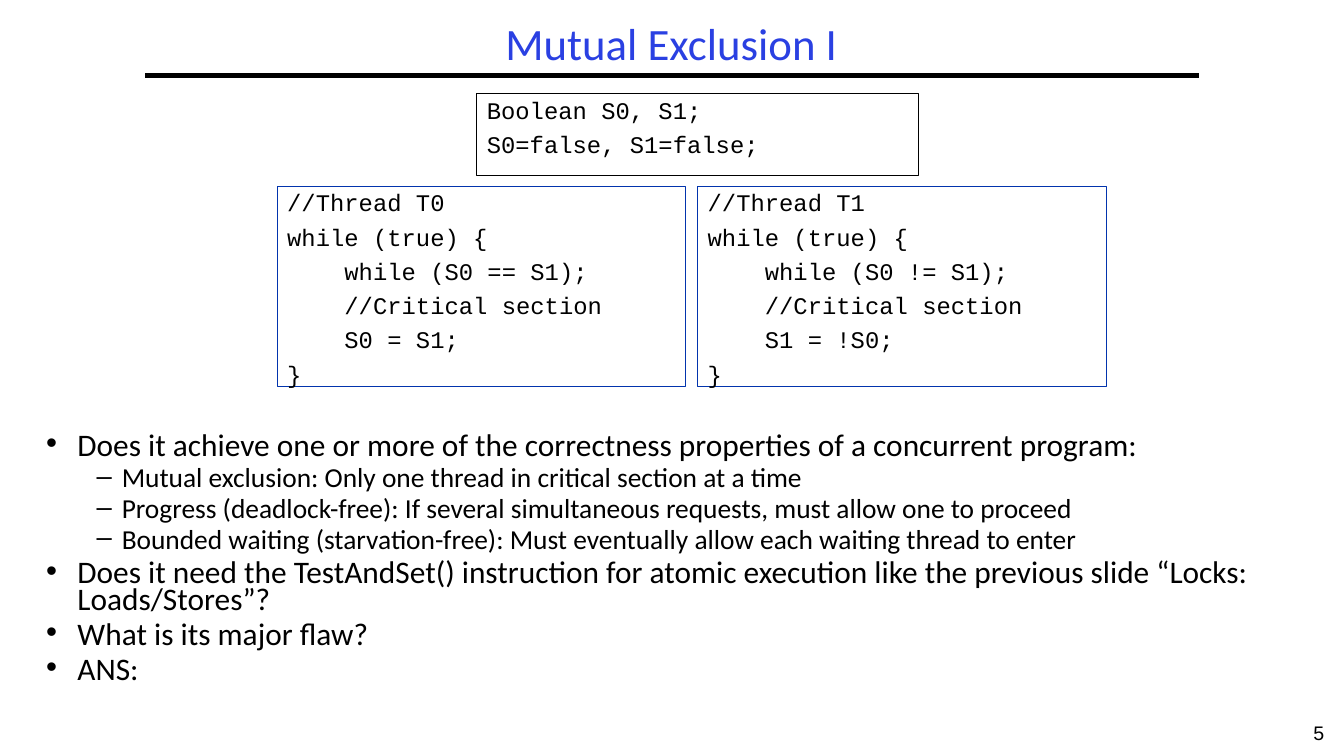
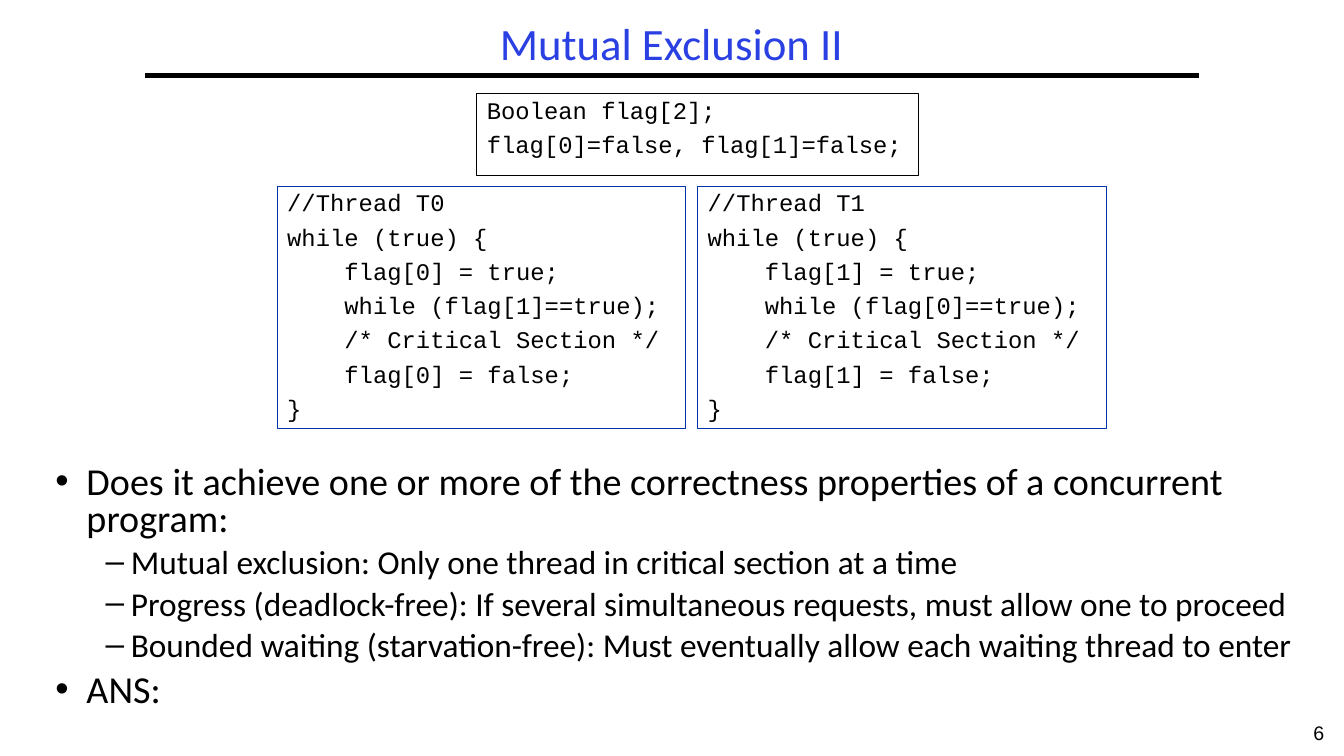
from dataclasses import dataclass

from lxml.etree import SubElement
from pptx import Presentation
from pptx.dml.color import RGBColor
from pptx.enum.shapes import MSO_CONNECTOR, MSO_SHAPE
from pptx.enum.text import MSO_ANCHOR, PP_ALIGN
from pptx.oxml.ns import qn
from pptx.slide import Slide
from pptx.text.text import TextFrame, _Paragraph
from pptx.util import Inches, Pt

# Shared look
BLACK = RGBColor(0x00, 0x00, 0x00)
BLUE = RGBColor(0x2A, 0x40, 0xE2)
NAVY = RGBColor(0x02, 0x34, 0xAD)

TITLE = {"name": "Calibri", "size": Pt(32), "color": BLUE}
CODE = {"name": "Courier New", "size": Pt(17), "color": BLACK}
PAGE = {"name": "Arial", "size": Pt(14), "color": BLACK}

# Bullet, left margin and hanging indent of each level
LEVELS = (("•", 0.31, 0.31), ("–", 0.75, 0.25))
GAP = 0.28  # space before a bullet, as a share of its size


@dataclass(frozen=True)
class Box:
    left: float
    top: float
    width: float
    height: float

    def place(self) -> tuple:
        return tuple(map(Inches, (self.left, self.top, self.width, self.height)))


@dataclass(frozen=True)
class Topic:
    title: str
    page: int
    setup: list[str]
    steps: list[list[str]]  # loop body of each thread
    depth: float  # height of the thread boxes
    body: Box
    sizes: tuple[float, float]  # text size of each level
    pitch: float
    points: list[tuple[int, str]]


# Content
PROPS = [
    (0, "Does it achieve one or more of the correctness properties of a concurrent program:"),
    (1, "Mutual exclusion: Only one thread in critical section at a time"),
    (1, "Progress (deadlock-free): If several simultaneous requests, must allow one to proceed"),
    (1, "Bounded waiting (starvation-free): Must eventually allow each waiting thread to enter"),
]
ANSWER = (0, "ANS:")

TOPICS = [
    Topic(
        "Mutual Exclusion I", 5,
        ["Boolean S0, S1;", "S0=false, S1=false;"],
        [["while (S0 == S1);", "//Critical section", "S0 = S1;"],
         ["while (S0 != S1);", "//Critical section", "S1 = !S0;"]],
        1.98, Box(0.36, 4.27, 12.94, 2.76), (22.4, 19.6), 0.7,
        [*PROPS,
         (0, "Does it need the TestAndSet() instruction for atomic execution "
             "like the previous slide “Locks: Loads/Stores”?"),
         (0, "What is its major flaw?"),
         ANSWER],
    ),
    Topic(
        "Mutual Exclusion II", 6,
        ["Boolean flag[2];", "flag[0]=false, flag[1]=false;"],
        [[f"flag[{me}] = true;", f"while (flag[{1 - me}]==true);",
          "/* Critical Section */", f"flag[{me}] = false;"] for me in (0, 1)],
        2.4, Box(0.45, 4.58, 12.94, 2.76), (27.2, 23.8), 0.8,
        [*PROPS, ANSWER],
    ),
]


def style(para: _Paragraph, look: dict) -> None:
    for key, value in look.items():
        if key == "color":
            para.font.color.rgb = value
        else:
            setattr(para.font, key, value)


def fill(frame: TextFrame, lines: list[str]) -> list[_Paragraph]:
    """Put one paragraph per line into the frame."""
    frame.word_wrap = True
    frame.text = "\n".join(lines)
    return list(frame.paragraphs)


def label(slide: Slide, box: Box, text: str, look: dict,
          anchor: MSO_ANCHOR, pitch: float) -> None:
    frame = slide.shapes.add_textbox(*box.place()).text_frame
    frame.vertical_anchor = anchor
    para = fill(frame, [text])[0]
    para.alignment, para.line_spacing = PP_ALIGN.CENTER, pitch
    style(para, look)


def rule(slide: Slide) -> None:
    line = slide.shapes.add_connector(
        MSO_CONNECTOR.STRAIGHT, *map(Inches, (1.44, 0.75, 11.89, 0.75)))
    line.line.color.rgb, line.line.width = BLACK, Pt(3)
    SubElement(line._element.spPr, qn("a:effectLst"))


def code(slide: Slide, box: Box, lines: list[str], edge: RGBColor) -> None:
    shape = slide.shapes.add_shape(MSO_SHAPE.RECTANGLE, *box.place())
    shape.shadow.inherit = False
    shape.fill.background()
    shape.line.color.rgb, shape.line.width = edge, Pt(0.75)
    shape.text_frame.vertical_anchor = MSO_ANCHOR.TOP
    for row, para in enumerate(fill(shape.text_frame, lines)):
        para.alignment, para.line_spacing = PP_ALIGN.LEFT, 0.9
        para.space_before = Pt(6.1 if row else 0)
        style(para, CODE)


def bullets(slide: Slide, topic: Topic) -> None:
    frame = slide.shapes.add_textbox(*topic.body.place()).text_frame
    paras = fill(frame, [text for _, text in topic.points])
    for row, (para, (level, _)) in enumerate(zip(paras, topic.points)):
        mark, left, hang = LEVELS[level]
        size = topic.sizes[level]
        para.level, para.line_spacing = level, topic.pitch
        para.space_before = Pt(round(GAP * size, 1) if row else 0)
        props = para._p.get_or_add_pPr()
        props.set("marL", str(Inches(left)))
        props.set("indent", str(-Inches(hang)))
        SubElement(props, qn("a:buFont"), typeface="Arial")
        SubElement(props, qn("a:buChar"), char=mark)
        style(para, {"name": "Calibri", "size": Pt(size), "color": BLACK})


def build(slide: Slide, topic: Topic) -> None:
    # Frame of the slide
    rule(slide)
    label(slide, Box(12.83, 7.1, 0.5, 0.4), str(topic.page), PAGE, MSO_ANCHOR.TOP, 1.0)
    label(slide, Box(1.44, 0.17, 10.44, 0.58), topic.title, TITLE, MSO_ANCHOR.MIDDLE, 0.9)
    # Questions
    bullets(slide, topic)
    # Code of both threads and their shared setup
    for num, steps in enumerate(topic.steps):
        lines = [f"//Thread T{num}", "while (true) {",
                 *("    " + step for step in steps), "}"]
        code(slide, Box(2.75 + 4.17 * num, 1.85, 4.05, topic.depth), lines, NAVY)
    code(slide, Box(4.73, 0.93, 4.38, 0.81), topic.setup, BLACK)


def main() -> None:
    deck = Presentation()
    deck.slide_width, deck.slide_height = Inches(13.33), Inches(7.5)
    for topic in TOPICS:
        build(deck.slides.add_slide(deck.slide_layouts[6]), topic)
    deck.save("out.pptx")


if __name__ == "__main__":
    main()
